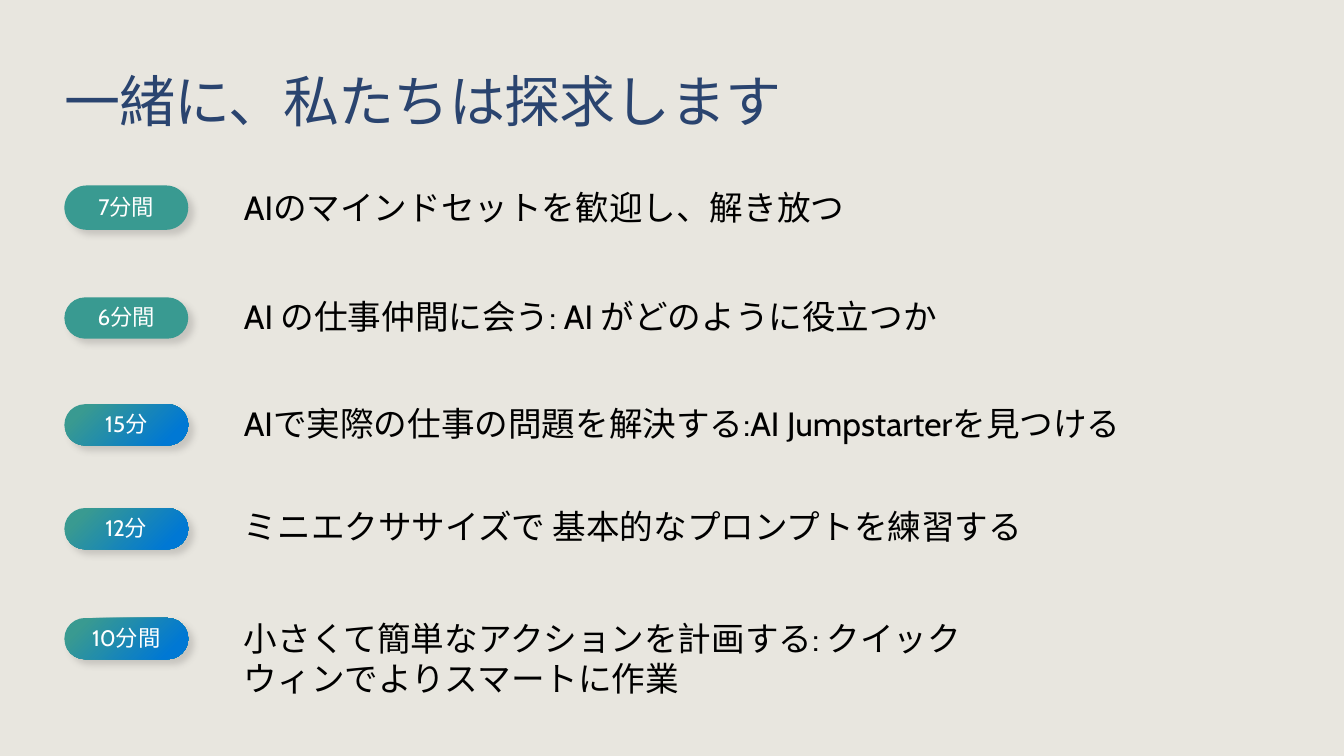
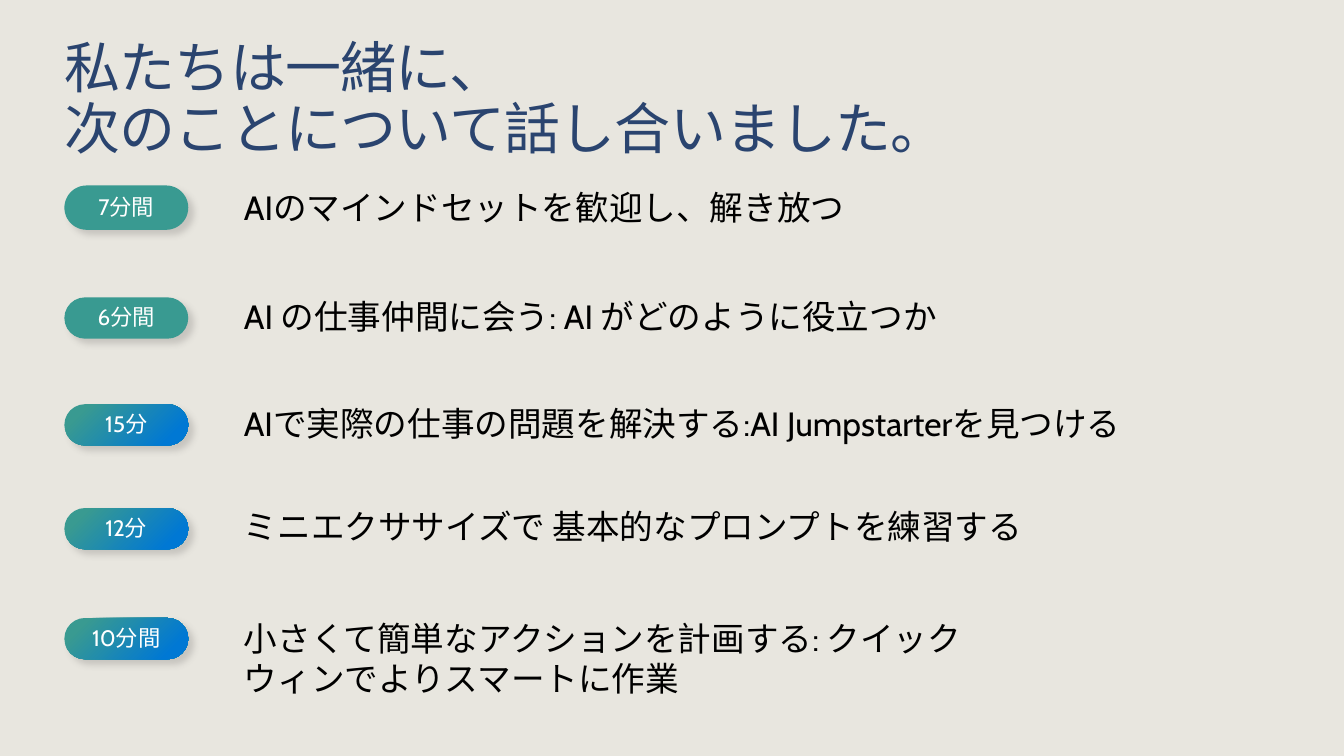
import pptx
import pptx.util
import pptx.oxml
import pptx.oxml.ns
import pptx.dml.color
import pptx.enum.shapes
import pptx.enum.text

Pt = pptx.util.Pt
RGB = pptx.dml.color.RGBColor
ALIGN = pptx.enum.text.PP_ALIGN
ANCHOR = pptx.enum.text.MSO_ANCHOR

SAND = RGB(0xE8, 0xE6, 0xDF)
NAVY = RGB(0x2A, 0x44, 0x6F)
TEAL = RGB(0x39, 0x9A, 0x91)
BLUE = RGB(0x00, 0x78, 0xD4)
GREY = RGB(0x45, 0x41, 0x42)
BLACK = RGB(0x00, 0x00, 0x00)
WHITE = RGB(0xFF, 0xFF, 0xFF)

FONT = "Cabin"
LEFT = 46
TEXT_LEFT = 174.2
PILL_WIDTH = 88.5
LINE = 44

# Title and its bottom edge
TITLES = [
    ("一緒に、私たちは探求します", 96.5),
    ("私たちは一緒に、\v次のことについて話し合いました。", 115.2),
]

# Time, pill top, pill height, gradient, topic, topic top, width, height
AGENDA = [
    ("7分間", 132.5, 31.7, False,
     "AIのマインドセットを歓迎し、解き放つ", 133.2, 710, 29),
    ("6分間", 212.4, 29.5, False,
     "AI の仕事仲間に会う: AI がどのように役立つか", 211.7, 710, 29),
    ("15分", 288.7, 29.5, True,
     "AIで実際の仕事の問題を解決する:AI Jumpstarterを見つける", 288, 770, 29),
    ("12分", 362.9, 29.5, True,
     "ミニエクササイズで 基本的なプロンプトを練習する", 361.4, 770, 29),
    ("10分間", 441.4, 29.5, True,
     "小さくて簡単なアクションを計画する: クイックウィンでよりスマートに作業",
     441.4, 530, 58),
]


def node(text):
    return pptx.oxml.parse_xml(
        text.replace(">", " " + pptx.oxml.ns.nsdecls("a") + ">", 1))


class Deck:
    def __init__(self):
        self.prs = pptx.Presentation()
        self.prs.slide_width, self.prs.slide_height = Pt(960), Pt(540)
        fill = self.prs.slide_master.background.fill
        fill.solid()
        fill.fore_color.rgb = SAND
        self.slide = None

    def page(self):
        self.slide = self.prs.slides.add_slide(self.prs.slide_layouts[5])

    def label(self, frame, text, size, color, align, anchor, foot=0):
        frame.text = text
        frame.word_wrap = True
        frame.auto_size = pptx.enum.text.MSO_AUTO_SIZE.NONE
        frame.vertical_anchor = anchor
        frame.margin_left = frame.margin_top = frame.margin_right = Pt(0)
        frame.margin_bottom = Pt(foot)
        para = frame.paragraphs[0]
        para.alignment = align
        for run in para.runs:
            run.font.name = FONT
            run.font.size = Pt(size)
            run.font.color.rgb = color
        return para

    def title(self, text, bottom):
        # Grow upward from the bottom edge, one step per line
        high = LINE * (text.count("\v") + 1)
        shape = self.slide.shapes.title
        shape.left, shape.top = Pt(LEFT), Pt(bottom - high)
        shape.width, shape.height = Pt(868), Pt(high)
        para = self.label(shape.text_frame, text, 40, NAVY,
                          ALIGN.LEFT, ANCHOR.BOTTOM)
        para.line_spacing = 0.9
        for run in para.runs:
            run._r.get_or_add_rPr().set("spc", "-50")

    def pill(self, text, top, high, blend):
        shape = self.slide.shapes.add_shape(
            pptx.enum.shapes.MSO_SHAPE.ROUNDED_RECTANGLE,
            Pt(LEFT), Pt(top), Pt(PILL_WIDTH), Pt(high))
        shape.adjustments[0] = 0.5
        shape.line.fill.background()
        shape.fill.solid()
        shape.fill.fore_color.rgb = TEAL
        if blend:
            self.blend(shape)
        self.shade(shape)
        self.label(shape.text_frame, text, 16, WHITE,
                   ALIGN.CENTER, ANCHOR.MIDDLE, 1.5)

    def blend(self, shape):
        # Radial gradient from the lower right corner
        props = shape._element.spPr
        solid = props.find(pptx.oxml.ns.qn("a:solidFill"))
        props.replace(solid, node(
            '<a:gradFill rotWithShape="1"><a:gsLst>'
            f'<a:gs pos="15000"><a:srgbClr val="{BLUE}"/></a:gs>'
            f'<a:gs pos="85000"><a:srgbClr val="{TEAL}"/></a:gs>'
            '</a:gsLst><a:path path="circle">'
            '<a:fillToRect l="100000" t="100000"/>'
            '</a:path></a:gradFill>'))

    def shade(self, shape):
        # Soft shadow falling to the lower right
        shape.shadow.inherit = False
        props = shape._element.spPr
        props.find(pptx.oxml.ns.qn("a:effectLst")).append(node(
            f'<a:outerShdw blurRad="{Pt(5)}" dist="{Pt(5)}" dir="2700000" '
            'algn="tl" rotWithShape="0">'
            f'<a:srgbClr val="{GREY}"><a:alpha val="20000"/></a:srgbClr>'
            '</a:outerShdw>'))

    def topic(self, text, top, wide, high):
        box = self.slide.shapes.add_textbox(
            Pt(TEXT_LEFT), Pt(top), Pt(wide), Pt(high))
        para = self.label(box.text_frame, text, 24, BLACK,
                          ALIGN.LEFT, ANCHOR.TOP)
        para.space_after = Pt(12)


def main():
    deck = Deck()
    for title, bottom in TITLES:
        deck.page()
        deck.title(title, bottom)
        for time, top, high, blend, text, *place in AGENDA:
            deck.pill(time, top, high, blend)
            deck.topic(text, *place)
    deck.prs.save("out.pptx")


if __name__ == "__main__":
    main()
